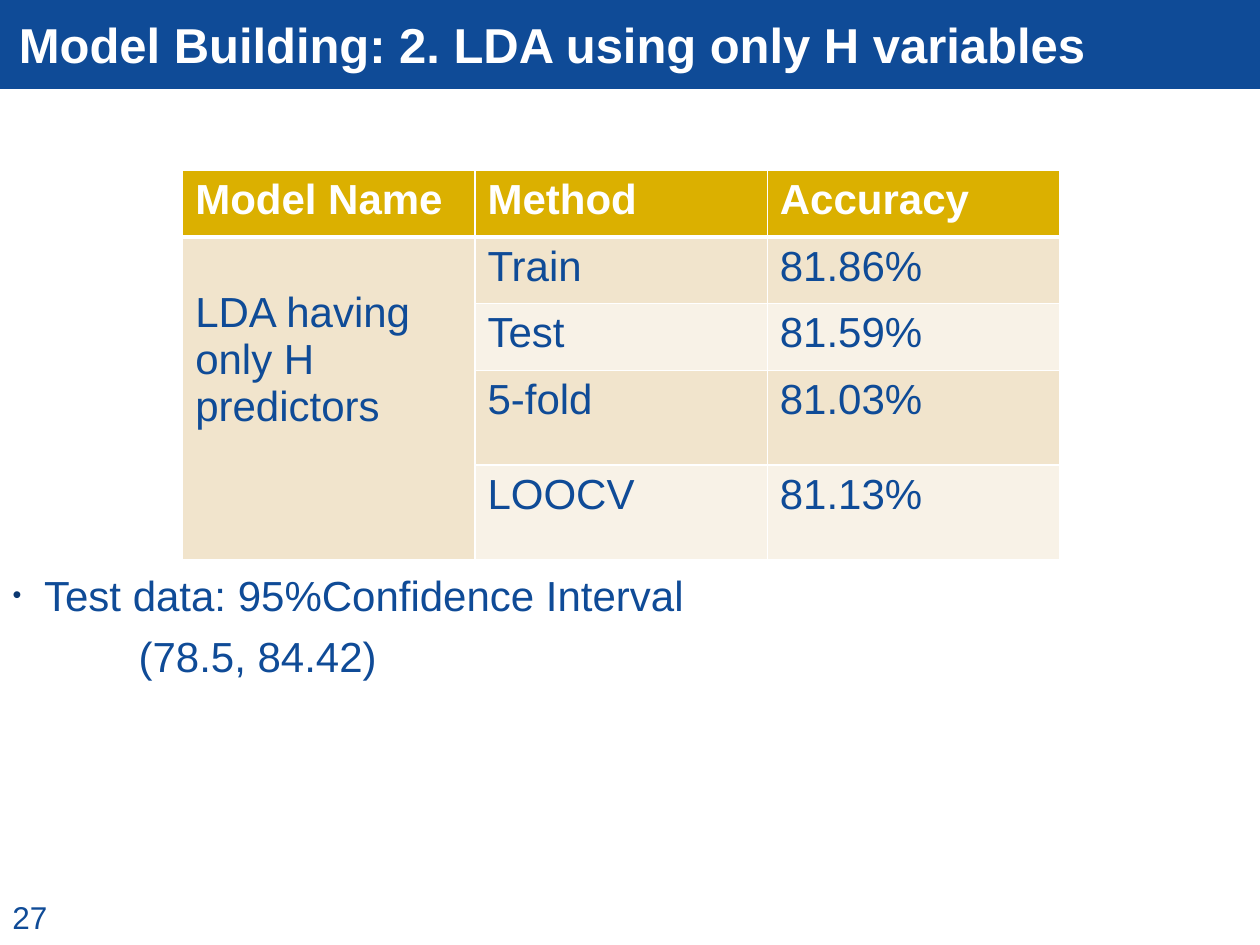
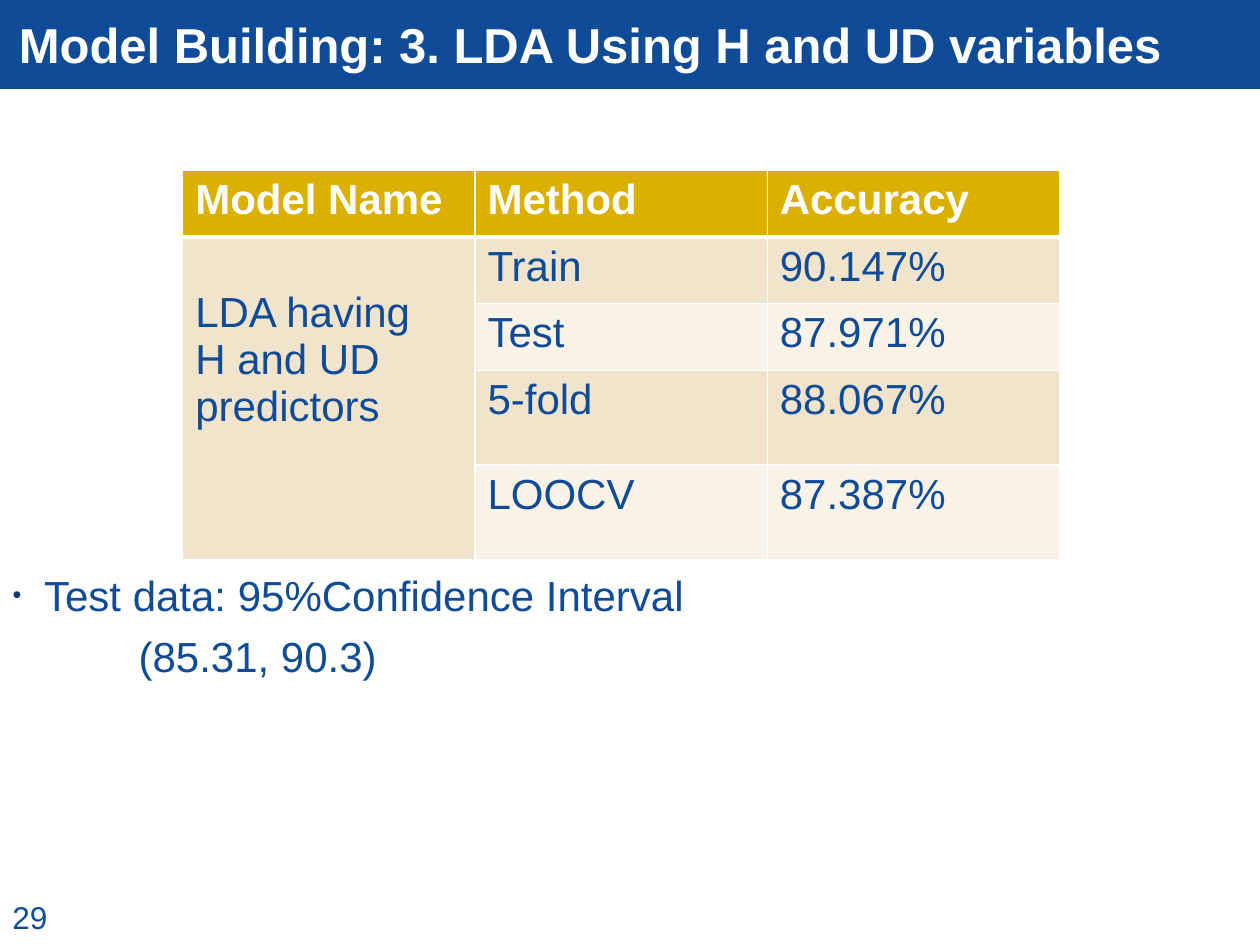
from dataclasses import dataclass

from lxml import etree
from pptx import Presentation
from pptx.dml.color import RGBColor
from pptx.enum import shapes, text
from pptx.oxml import ns
from pptx.util import Emu, Pt

PX = 9144  # EMU per px, 100 px to the inch
FONT = "Arial"
COLORS = {
    "navy": "0F4B97",
    "bullet": "0B3871",
    "white": "FFFFFF",
    "gold": "DBB000",
    "sand": "F1E4CC",
    "cream": "F8F2E7",
}
HEADINGS = ["Model Name", "Method", "Accuracy"]
METHODS = ["Train", "Test", "5-fold", "LOOCV"]
COLUMN_WIDTH = 232
ROW_HEIGHTS = [53, 53, 53, 75, 75]


@dataclass
class ModelResult:
    title: str
    predictors: list[str]
    accuracies: list[str]
    interval: str
    number: str


RESULTS = [
    ModelResult(
        "Model Building: 2. LDA using only H variables",
        ["LDA having only H predictors"],
        ["81.86%", "81.59%", "81.03%", "81.13%"],
        "(78.5, 84.42)",
        "27",
    ),
    ModelResult(
        "Model Building: 3. LDA Using H and UD variables",
        ["LDA having", "H and UD predictors"],
        ["90.147%", "87.971%", "88.067%", "87.387%"],
        "(85.31, 90.3)",
        "29",
    ),
]


def px(length: int) -> Emu:
    return Emu(length * PX)


def rgb(name: str) -> RGBColor:
    return RGBColor.from_string(COLORS[name])


def place(shape, left: int, top: int, width: int, height: int) -> None:
    shape.left, shape.top = px(left), px(top)
    shape.width, shape.height = px(width), px(height)


def write(frame, lines: list[str], size: int = 24, color: str = "navy",
          bold: bool = False, gap: int = 0) -> None:
    """Fill a text frame with one left-aligned paragraph per line."""
    frame.word_wrap = True
    for index, line in enumerate(lines):
        paragraph = frame.paragraphs[0] if index == 0 else frame.add_paragraph()
        paragraph.alignment = text.PP_ALIGN.LEFT
        paragraph.space_before = Pt(gap if index else 0)
        run = paragraph.add_run()
        run.text = line
        run.font.name, run.font.size, run.font.bold = FONT, Pt(size), bold
        run.font.color.rgb = rgb(color)


def set_indent(paragraph, left: int, first: int = 0, bullet: bool = False) -> None:
    props = paragraph._p.get_or_add_pPr()
    props.set("marL", str(px(left)))
    props.set("indent", str(px(first)))
    if not bullet:
        etree.SubElement(props, ns.qn("a:buNone"))
        return
    tint = etree.SubElement(props, ns.qn("a:buClr"))
    etree.SubElement(tint, ns.qn("a:srgbClr"), val=COLORS["bullet"])
    etree.SubElement(props, ns.qn("a:buSzPct"), val="60000")
    etree.SubElement(props, ns.qn("a:buFont"), typeface=FONT)
    etree.SubElement(props, ns.qn("a:buChar"), char="•")


def set_borders(cell, top: int = 1, bottom: int = 1) -> None:
    props = cell._tc.get_or_add_tcPr()
    sides = {"a:lnL": 1, "a:lnR": 1, "a:lnT": top, "a:lnB": bottom}
    for index, (side, width) in enumerate(sides.items()):
        border = etree.Element(ns.qn(side), w=str(Pt(width)))
        fill = etree.SubElement(border, ns.qn("a:solidFill"))
        etree.SubElement(fill, ns.qn("a:srgbClr"), val=COLORS["white"])
        props.insert(index, border)


def add_frame(slide, result: ModelResult) -> None:
    # Title band, kept behind the title
    band = slide.shapes.add_shape(
        shapes.MSO_SHAPE.RECTANGLE, px(0), px(0), px(1000), px(70))
    band.shadow.inherit = False
    band.fill.solid()
    band.fill.fore_color.rgb = rgb("navy")
    band.line.color.rgb = rgb("navy")
    band.line.width = Pt(0.75)
    slide.shapes._spTree.insert(2, band._element)

    # Title
    title = slide.shapes.title
    place(title, 5, 0, 970, 70)
    title.text_frame.auto_size = text.MSO_AUTO_SIZE.NONE
    title.text_frame.vertical_anchor = text.MSO_ANCHOR.MIDDLE
    write(title.text_frame, [result.title], size=28, color="white", bold=True)

    # Slide number
    number = slide.shapes.add_textbox(px(0), px(708), px(55), px(50))
    write(number.text_frame, [result.number], size=18)


def add_interval(slide, interval: str) -> None:
    body = slide.placeholders[1]
    place(body, 0, 70, 1000, 615)
    frame = body.text_frame
    frame.auto_size = text.MSO_AUTO_SIZE.NONE
    frame.vertical_anchor = text.MSO_ANCHOR.TOP
    frame.margin_top = px(382)  # starts the list below the table
    write(frame, ["Test data: 95%Confidence Interval", interval], gap=6)
    set_indent(frame.paragraphs[0], 25, -25, bullet=True)
    set_indent(frame.paragraphs[1], 100)


def add_accuracy_table(slide, result: ModelResult) -> None:
    table = slide.shapes.add_table(
        len(ROW_HEIGHTS), len(HEADINGS), px(145), px(135),
        px(COLUMN_WIDTH * len(HEADINGS)), px(sum(ROW_HEIGHTS))).table
    for column in table.columns:
        column.width = px(COLUMN_WIDTH)
    for row, height in zip(table.rows, ROW_HEIGHTS):
        row.height = px(height)

    # Fills and borders
    for r, row in enumerate(table.rows):
        for c, cell in enumerate(row.cells):
            banded = "sand" if r % 2 or c == 0 else "cream"
            cell.fill.solid()
            cell.fill.fore_color.rgb = rgb(banded if r else "gold")
            set_borders(cell, top=3 if r == 1 else 1, bottom=1 if r else 3)

    # Wording
    for c, heading in enumerate(HEADINGS):
        write(table.cell(0, c).text_frame, [heading], color="white", bold=True)
    for r, values in enumerate(zip(METHODS, result.accuracies), start=1):
        for c, value in enumerate(values, start=1):
            write(table.cell(r, c).text_frame, [value])
    model = table.cell(1, 0)
    model.merge(table.cell(len(METHODS), 0))
    model.margin_top = px(42)
    write(model.text_frame, result.predictors)


def main() -> None:
    deck = Presentation()
    deck.slide_width, deck.slide_height = px(1000), px(750)
    for result in RESULTS:
        slide = deck.slides.add_slide(deck.slide_layouts[1])
        add_frame(slide, result)
        add_interval(slide, result.interval)
        add_accuracy_table(slide, result)
    deck.save("out.pptx")


if __name__ == "__main__":
    main()
